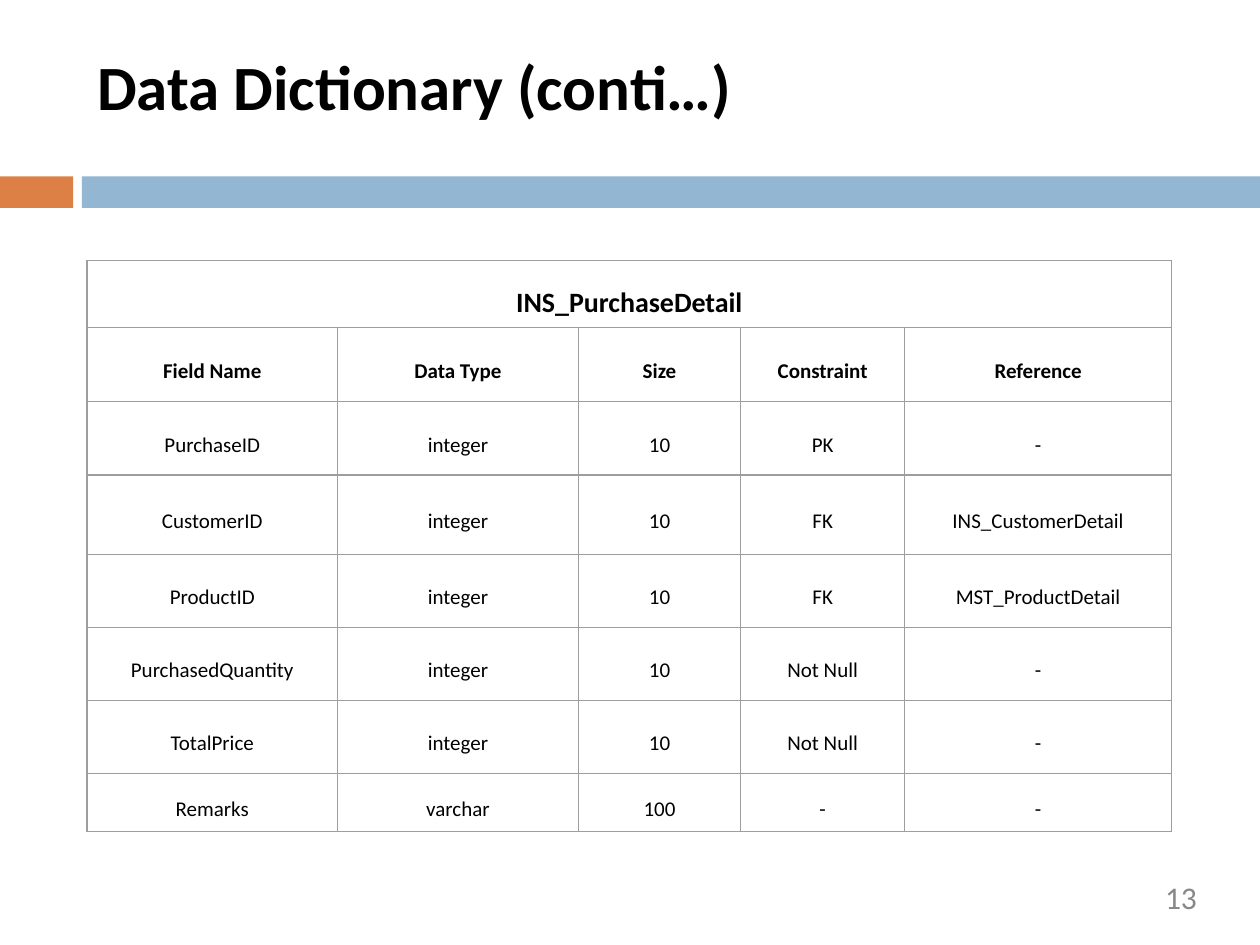
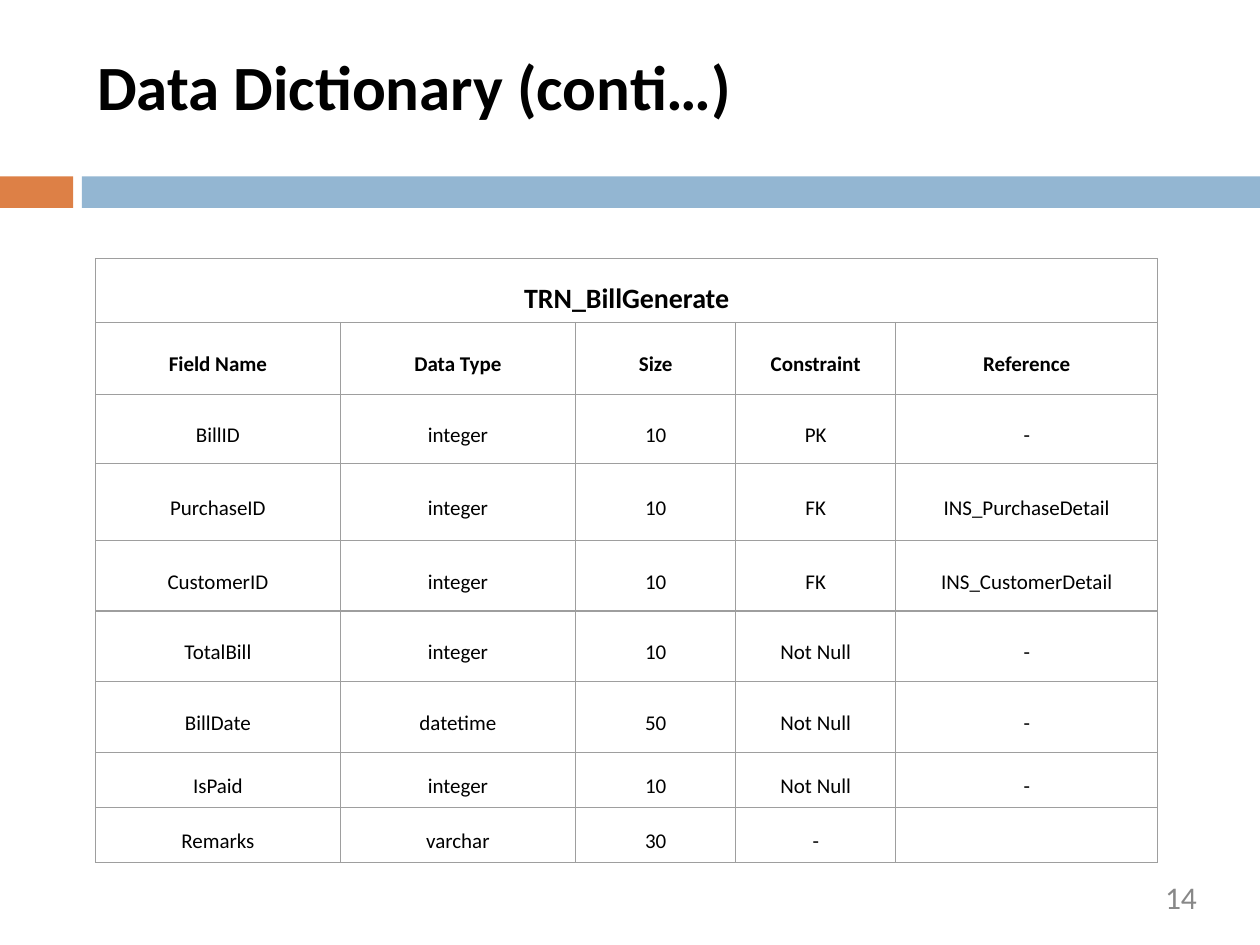
from dataclasses import dataclass

import lxml.etree
import pptx
import pptx.dml.color
import pptx.enum.shapes
import pptx.enum.text
import pptx.oxml.ns
import pptx.presentation
import pptx.slide
import pptx.table
import pptx.text.text
import pptx.util
from pptx.util import Inches

ORANGE = pptx.dml.color.RGBColor(0xDD, 0x80, 0x46)
BLUE = pptx.dml.color.RGBColor(0x93, 0xB6, 0xD2)
BLACK = pptx.dml.color.RGBColor(0x00, 0x00, 0x00)
GRAY = pptx.dml.color.RGBColor(0x88, 0x88, 0x88)
BORDER = pptx.dml.color.RGBColor(0x9E, 0x9E, 0x9E)

FONT = "Calibri"
TITLE = "Data Dictionary (conti…)"
HEADINGS = ("Field Name", "Data Type", "Size", "Constraint", "Reference")
ALIGN = pptx.enum.text.PP_ALIGN


@dataclass(frozen=True)
class Band:
    left: float
    width: float
    color: pptx.dml.color.RGBColor


@dataclass(frozen=True)
class TextStyle:
    size: int
    color: pptx.dml.color.RGBColor = BLACK
    bold: bool = False
    align: ALIGN = ALIGN.CENTER


@dataclass(frozen=True)
class DictionaryTable:
    name: str
    page: int
    left: float
    top: float
    column_widths: tuple[float, ...]
    row_heights: tuple[float, ...]
    fields: tuple[tuple[str, ...], ...]


BANDS = (Band(0, 0.58, ORANGE), Band(0.65, 9.35, BLUE))
TITLE_STYLE = TextStyle(36, bold=True, align=ALIGN.LEFT)
PAGE_STYLE = TextStyle(18, GRAY, align=ALIGN.RIGHT)
NAME_STYLE = TextStyle(16, bold=True)
HEADING_STYLE = TextStyle(12, bold=True)
FIELD_STYLE = TextStyle(12)

TABLES = (
    DictionaryTable(
        "INS_PurchaseDetail", 13, 0.69, 2.07,
        (1.99, 1.91, 1.29, 1.3, 2.12),
        (0.53, 0.59, 0.58, 0.63, 0.58, 0.58, 0.58, 0.46),
        (
            ("PurchaseID", "integer", "10", "PK", "-"),
            ("CustomerID", "integer", "10", "FK", "INS_CustomerDetail"),
            ("ProductID", "integer", "10", "FK", "MST_ProductDetail"),
            ("PurchasedQuantity", "integer", "10", "Not Null", "-"),
            ("TotalPrice", "integer", "10", "Not Null", "-"),
            ("Remarks", "varchar", "100", "-", "-"),
        ),
    ),
    DictionaryTable(
        "TRN_BillGenerate", 14, 0.76, 2.05,
        (1.94, 1.87, 1.27, 1.27, 2.08),
        (0.51, 0.57, 0.55, 0.61, 0.56, 0.56, 0.56, 0.44, 0.44),
        (
            ("BillID", "integer", "10", "PK", "-"),
            ("PurchaseID", "integer", "10", "FK", "INS_PurchaseDetail"),
            ("CustomerID", "integer", "10", "FK", "INS_CustomerDetail"),
            ("TotalBill", "integer", "10", "Not Null", "-"),
            ("BillDate", "datetime", "50", "Not Null", "-"),
            ("IsPaid", "integer", "10", "Not Null", "-"),
            ("Remarks", "varchar", "30", "-", ""),
        ),
    ),
)


def write_text(frame: pptx.text.text.TextFrame, text: str, style: TextStyle) -> None:
    frame.text = text
    paragraph = frame.paragraphs[0]
    paragraph.alignment = style.align
    for run in paragraph.runs:
        run.font.name = FONT
        run.font.size = pptx.util.Pt(style.size)
        run.font.bold = style.bold
        run.font.color.rgb = style.color


def add_text(slide: pptx.slide.Slide, text: str, style: TextStyle,
             left: float, top: float, width: float, height: float) -> None:
    frame = slide.shapes.add_textbox(
        Inches(left), Inches(top), Inches(width), Inches(height)).text_frame
    frame.margin_left = frame.margin_right = frame.margin_top = frame.margin_bottom = 0
    frame.word_wrap = True
    write_text(frame, text, style)


def add_band(slide: pptx.slide.Slide, band: Band) -> None:
    shape = slide.shapes.add_shape(
        pptx.enum.shapes.MSO_SHAPE.RECTANGLE,
        Inches(band.left), Inches(1.4), Inches(band.width), Inches(0.25))
    shape.shadow.inherit = False
    shape.fill.solid()
    shape.fill.fore_color.rgb = band.color
    shape.line.fill.background()


def add_borders(cell: pptx.table._Cell) -> None:
    """Outline all four sides; must run before the cell's fill is set."""
    qualified = pptx.oxml.ns.qn
    properties = cell._tc.get_or_add_tcPr()
    for side in ("a:lnL", "a:lnR", "a:lnT", "a:lnB"):
        line = lxml.etree.SubElement(
            properties, qualified(side), w=str(pptx.util.Pt(0.75)))
        fill = lxml.etree.SubElement(line, qualified("a:solidFill"))
        lxml.etree.SubElement(fill, qualified("a:srgbClr"), val=str(BORDER))


def format_cell(cell: pptx.table._Cell, text: str, style: TextStyle, side_margin: float) -> None:
    add_borders(cell)
    cell.fill.background()
    cell.vertical_anchor = pptx.enum.text.MSO_ANCHOR.MIDDLE
    cell.margin_left = cell.margin_right = Inches(side_margin)
    cell.margin_top = cell.margin_bottom = 0
    if text:
        write_text(cell.text_frame, text, style)
        cell.text_frame.paragraphs[0].line_spacing = 1.5


def add_dictionary_table(slide: pptx.slide.Slide, content: DictionaryTable) -> None:
    name_row = (content.name,) + ("",) * (len(HEADINGS) - 1)
    rows = (name_row, HEADINGS) + content.fields
    table = slide.shapes.add_table(
        len(rows), len(HEADINGS), Inches(content.left), Inches(content.top),
        Inches(sum(content.column_widths)), Inches(sum(content.row_heights))).table
    table.first_row = table.horz_banding = False
    for column, width in zip(table.columns, content.column_widths):
        column.width = Inches(width)
    for row, height in zip(table.rows, content.row_heights):
        row.height = Inches(height)
    table.cell(0, 0).merge(table.cell(0, len(HEADINGS) - 1))
    top_styles = (NAME_STYLE, HEADING_STYLE)
    for row_index, texts in enumerate(rows):
        is_top = row_index < len(top_styles)
        style = top_styles[row_index] if is_top else FIELD_STYLE
        for column_index, text in enumerate(texts):
            format_cell(table.cell(row_index, column_index), text, style,
                        0.05 if is_top else 0.07)


def add_dictionary_slide(presentation: pptx.presentation.Presentation,
                         content: DictionaryTable) -> None:
    slide = presentation.slides.add_slide(presentation.slide_layouts[6])
    for band in BANDS:
        add_band(slide, band)
    add_text(slide, TITLE, TITLE_STYLE, 0.77, 0.38, 5.52, 0.68)
    add_text(slide, str(content.page), PAGE_STYLE, 7.2, 6.97, 2.3, 0.38)
    add_dictionary_table(slide, content)


def main() -> None:
    presentation = pptx.Presentation()
    presentation.slide_width = Inches(10)
    presentation.slide_height = Inches(7.5)
    for content in TABLES:
        add_dictionary_slide(presentation, content)
    presentation.save("out.pptx")


if __name__ == "__main__":
    main()
